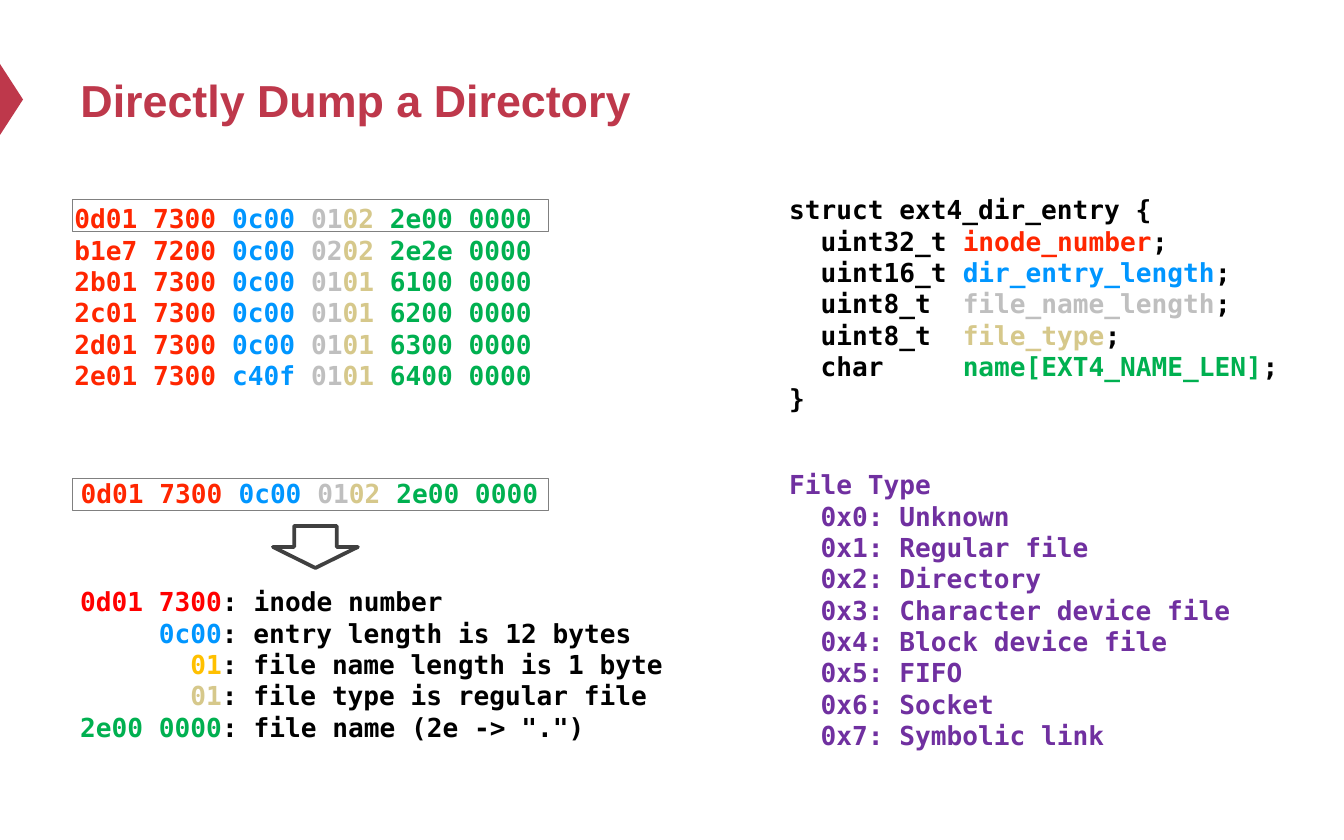
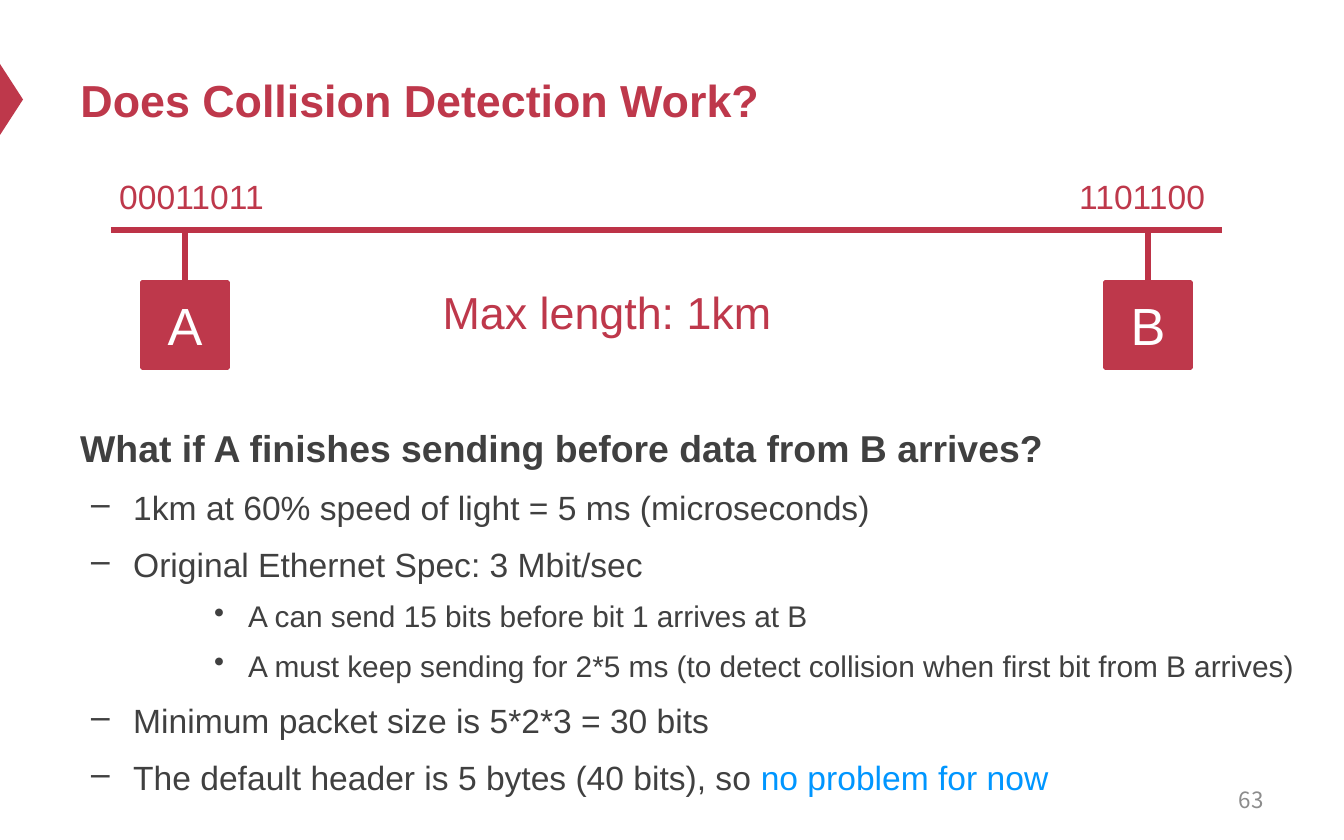
import pptx
import pptx.util
import pptx.dml.color
import pptx.enum.shapes
import pptx.enum.text
import pptx.oxml
import pptx.oxml.ns

SHAPE = pptx.enum.shapes.MSO_SHAPE
ALIGN = pptx.enum.text.PP_ALIGN
ANCHOR = pptx.enum.text.MSO_ANCHOR

PX_PER_INCH = 134.4
SLIDE_SIZE = (1344, 840)
SANS, MONO, NUMBER_FONT = "Arial", "DejaVu Sans Mono", "Noto Sans CJK SC"
MONO_CHAR_WIDTH = 15.73  # px per character at 14 pt

COLORS = {
    "accent": "BE384B", "cable": "BD3347", "body": "404040", "frame": "808080",
    "white": "FFFFFF", "black": "000000", "number": "8C8C8C",
    "inode": "FF2600", "entry": "0096FF", "name_length": "BFBFBF",
    "type": "D6C88B", "name": "00B050", "file_types": "7030A0",
    "red": "FF0000", "amber": "FFC000",
}

# Each field of a dump row: colour, first and last character position
FIELDS = [("inode", 0, 10), ("entry", 10, 15), ("name_length", 15, 17),
          ("type", 17, 20), ("name", 20, 30)]
DUMP_ROWS = [
    "0d01 7300 0c00 0102 2e00 0000 ",
    "b1e7 7200 0c00 0202 2e2e 0000 ",
    "2b01 7300 0c00 0101 6100 0000 ",
    "2c01 7300 0c00 0101 6200 0000 ",
    "2d01 7300 0c00 0101 6300 0000 ",
    "2e01 7300 c40f 0101 6400 0000 ",
]
MEANINGS = [
    ("0d01 7300", "red", "inode number"),
    ("0c00", "entry", "entry length is 12 bytes"),
    ("01", "amber", "file name length is 1 byte"),
    ("01", "type", "file type is regular file"),
    ("2e00 0000", "name", 'file name (2e -> ".")'),
]
STRUCT_MEMBERS = [
    ("  uint32_t ", "inode_number", "inode"),
    ("  uint16_t ", "dir_entry_length", "entry"),
    ("  uint8_t  ", "file_name_length", "name_length"),
    ("  uint8_t  ", "file_type", "type"),
    ("  char     ", "name[EXT4_NAME_LEN]", "name"),
]
FILE_TYPES = ["Unknown", "Regular file", "Directory", "Character device file",
              "Block device file", "FIFO", "Socket", "Symbolic link"]

LEVELS = {
    0: dict(size=20, bold=True),
    1: dict(size=18, left=53, hanging=42, bullet="–", before=4.6),
    2: dict(size=16, left=168, hanging=34, bullet="•", before=3.6),
}
COLLISION_POINTS = [
    (0, [("What if A finishes sending before data from B arrives?", "body")]),
    (1, [("1km at 60% speed of light = 5 ms (microseconds)", "body")]),
    (1, [("Original Ethernet Spec: 3 Mbit/sec", "body")]),
    (2, [("A can send 15 bits before bit 1 arrives at B", "body")]),
    (2, [("A must keep sending for 2*5 ms (to detect collision when "
          "first bit from B arrives)", "body")]),
    (1, [("Minimum packet size is 5*2*3 = 30 bits", "body")]),
    (1, [("The default header is 5 bytes (40 bits), so ", "body"),
         ("no problem for now", "entry")]),
]
HOSTS = [("A", 142), ("B", 1105)]
HOST_TOP, HOST_SIDE = 282, 86
CABLE_LEFT, CABLE_RIGHT, CABLE_Y = 111, 1222, 230
BIT_LABELS = [("00011011", 106, 173), ("1101100", 1066, 155)]


def px(length):
    return pptx.util.Emu(round(length * 914400 / PX_PER_INCH))


def rgb(color):
    return pptx.dml.color.RGBColor.from_string(COLORS[color])


def one_para(text, color):
    return [dict(spans=[(text, color)])]


def write_text(frame, paras, anchor=ANCHOR.TOP, wrap=True, **style):
    """Fill a frame; each para is a dict of spans plus overrides of the style."""
    frame.auto_size = pptx.enum.text.MSO_AUTO_SIZE.NONE
    frame.word_wrap = wrap
    frame.vertical_anchor = anchor
    for index, item in enumerate(paras):
        look = {"font": SANS, "size": 18, "bold": False, "align": ALIGN.LEFT,
                "left": 0, "hanging": 0, **style, **item}
        para = frame.paragraphs[0] if index == 0 else frame.add_paragraph()
        properties = para._p.get_or_add_pPr()
        properties.set("marL", str(px(look["left"])))
        properties.set("indent", str(px(-look["hanging"])))
        if "bullet" in look:
            bullet = pptx.oxml.parse_xml(
                f'<a:buChar {pptx.oxml.ns.nsdecls("a")} char="{look["bullet"]}"/>')
            properties.append(bullet)
        para.alignment = look["align"]
        if "spacing" in look:
            para.line_spacing = look["spacing"]
        if "before" in look:
            para.space_before = pptx.util.Pt(look["before"])
        for text, color in look["spans"]:
            span = para.add_run()
            span.text = text
            span.font.name = look["font"]
            span.font.size = pptx.util.Pt(look["size"])
            span.font.bold = look["bold"]
            span.font.color.rgb = rgb(color)


def add_text(page, place, paras, **style):
    box = page.shapes.add_textbox(*map(px, place))
    write_text(box.text_frame, paras, **style)


def add_shape(page, kind, place, fill=None, line=None, width=1):
    shape = page.shapes.add_shape(kind, *map(px, place))
    shape.shadow.inherit = False
    if fill:
        shape.fill.solid()
        shape.fill.fore_color.rgb = rgb(fill)
    else:
        shape.fill.background()
    if line:
        shape.line.color.rgb = rgb(line)
        shape.line.width = pptx.util.Pt(width)
    else:
        shape.line.fill.background()
    return shape


def add_cable(page, start, end):
    cable = page.shapes.add_connector(
        pptx.enum.shapes.MSO_CONNECTOR.STRAIGHT, *map(px, start + end))
    cable.line.color.rgb = rgb("cable")
    cable.line.width = pptx.util.Pt(3)
    cable._element.spPr.append(
        pptx.oxml.parse_xml(f'<a:effectLst {pptx.oxml.ns.nsdecls("a")}/>'))
    return cable


def add_page(deck, title):
    """Add a slide with the shared marker and title."""
    page = deck.slides.add_slide(deck.slide_layouts.get_by_name("Title Only"))
    marker = add_shape(page, SHAPE.ISOSCELES_TRIANGLE, (-24, 88, 71, 23), fill="accent")
    marker.rotation = 90
    holder = page.shapes.title
    holder.left, holder.top, holder.width, holder.height = map(px, (67, 34, 1210, 132))
    write_text(holder.text_frame, one_para(title, "accent"),
               anchor=ANCHOR.MIDDLE, size=24, bold=True)
    return page


def dump_para(row):
    return dict(spans=[(row[start:end], color) for color, start, end in FIELDS])


def add_directory_page(deck):
    page = add_page(deck, "Directly Dump a Directory")
    code = dict(font=MONO, size=14, bold=True)

    add_text(page, (30, 196, 562, 203), [dump_para(row) for row in DUMP_ROWS],
             align=ALIGN.CENTER, **code)
    add_text(page, (67, 471, 501, 45), [dump_para(DUMP_ROWS[0])],
             align=ALIGN.CENTER, wrap=False, **code)

    longest = max(len(value) for value, _, _ in MEANINGS)
    meanings = [dict(spans=[(value, color), (": " + meaning, "black")],
                     left=(longest - len(value)) * MONO_CHAR_WIDTH)
                for value, color, meaning in MEANINGS]
    add_text(page, (67, 579, 699, 172), meanings, **code)

    add_shape(page, SHAPE.DOWN_ARROW, (273, 526, 85, 42), line="body", width=2)
    for top in (199, 478):
        add_shape(page, SHAPE.RECTANGLE, (72, top, 476, 32), line="frame", width=0.25)

    members = [dict(spans=[(kind, "black"), (name, color), (";", "black")])
               for kind, name, color in STRUCT_MEMBERS]
    struct = (one_para("struct ext4_dir_entry {", "black") + members
              + one_para("}", "black"))
    add_text(page, (776, 187, 520, 235), struct, **code)

    types = [dict(spans=[(f"0x{number}: {name}", "file_types")],
                  left=2 * MONO_CHAR_WIDTH)
             for number, name in enumerate(FILE_TYPES)]
    add_text(page, (776, 462, 540, 298),
             one_para("File Type", "file_types") + types, **code)


def add_collision_page(deck):
    page = add_page(deck, "Does Collision Detection Work?")
    points = [dict(spans=spans, **LEVELS[level]) for level, spans in COLLISION_POINTS]
    add_text(page, (67, 410, 1261, 413), points, spacing=1.2)

    add_cable(page, (CABLE_LEFT, CABLE_Y), (CABLE_RIGHT, CABLE_Y))
    for name, left in HOSTS:
        middle = left + HOST_SIDE // 2
        drop = add_cable(page, (middle, CABLE_Y), (middle, HOST_TOP))
        host = add_shape(page, SHAPE.RECTANGLE, (left, HOST_TOP, HOST_SIDE, HOST_SIDE),
                         fill="accent", line="accent", width=2)
        write_text(host.text_frame, one_para(name, "white"), size=28,
                   align=ALIGN.CENTER, anchor=ANCHOR.MIDDLE)
        drop.end_connect(host, 0)

    add_text(page, (271, 278, 672, 67), one_para("Max length: 1km", "accent"),
             size=24, align=ALIGN.CENTER)
    for bits, left, width in BIT_LABELS:
        add_text(page, (left, 169, width, 54), one_para(bits, "accent"), wrap=False)
    add_text(page, (964, 778, 313, 44), one_para("63", "number"), font=NUMBER_FONT,
             size=12, align=ALIGN.RIGHT, anchor=ANCHOR.MIDDLE)


def main():
    deck = pptx.Presentation()
    deck.slide_width, deck.slide_height = map(px, SLIDE_SIZE)
    add_directory_page(deck)
    add_collision_page(deck)
    deck.save("out.pptx")


if __name__ == "__main__":
    main()
